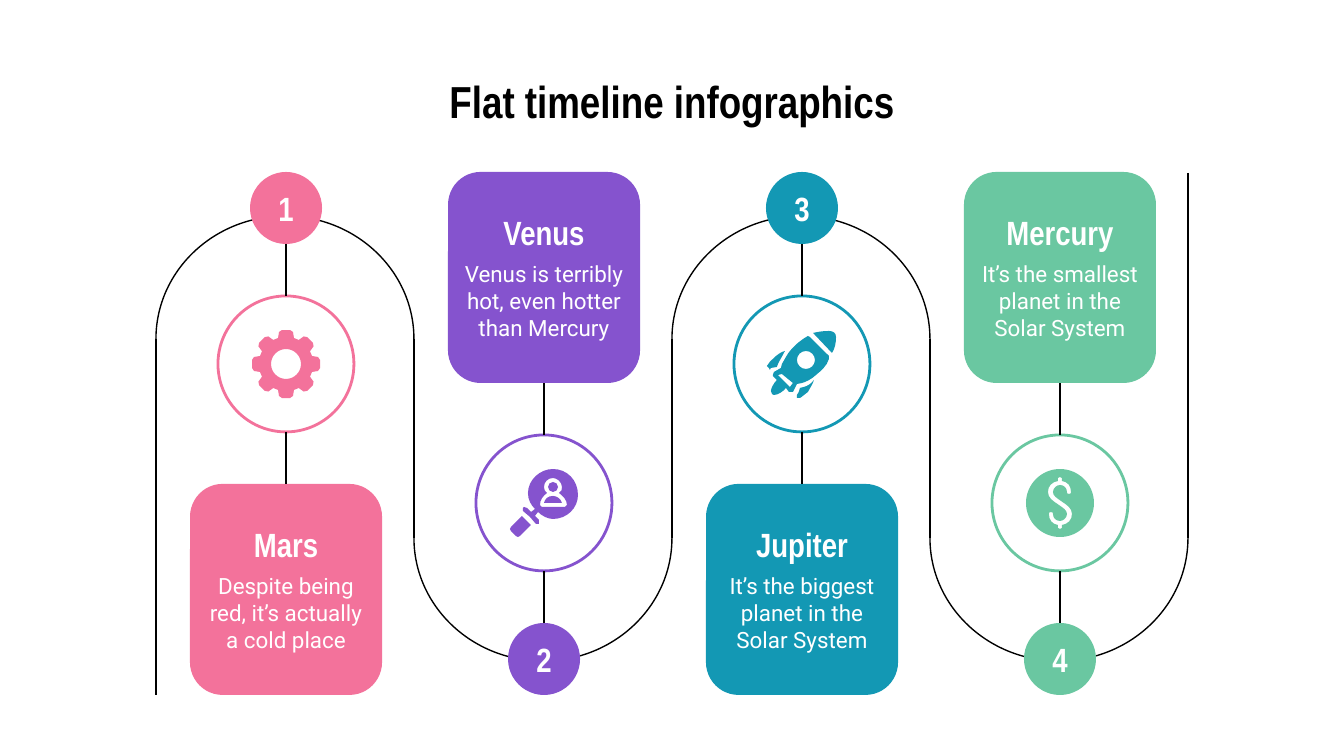
import math

from lxml import etree
from pptx import Presentation
from pptx.dml.color import RGBColor
from pptx.enum import shapes, text
from pptx.oxml.ns import qn
from pptx.util import Emu, Pt

PX = 914400 / 134.4
BLACK = RGBColor(0x00, 0x00, 0x00)
WHITE = RGBColor(0xFF, 0xFF, 0xFF)
PINK = RGBColor(0xF3, 0x72, 0x9B)
PURPLE = RGBColor(0x85, 0x53, 0xCE)
TEAL = RGBColor(0x13, 0x98, 0xB4)
GREEN = RGBColor(0x6A, 0xC7, 0xA1)
HEAD_FONT, BODY_FONT = "Arial Narrow", "Roboto"

TITLE = "Flat timeline infographics"
STEPS = [
    ("Mars", "Despite being red, it’s actually a cold place", PINK, "gear"),
    ("Venus", "Venus is terribly hot, even hotter than Mercury", PURPLE, "search"),
    ("Jupiter", "It’s the biggest planet in the Solar System", TEAL, "rocket"),
    ("Mercury", "It’s the smallest planet in the Solar System", GREEN, "dollar"),
]

# Layout, in px
W, H, STEP = 1344, 756, 258
FIRST_X, TOP, BOTTOM = 286, 172, 695
DOT, RING, GAP = 72, 136, 52
CARD_W, CARD_H = 192, 211
BEND_TOP, BEND_BOTTOM, BEND_H = 339, 538, 123


def circle(cx, cy, r):
    k = 0.55 * r
    return [(cx, cy - r),
            (cx + k, cy - r, cx + r, cy - k, cx + r, cy),
            (cx + r, cy + k, cx + k, cy + r, cx, cy + r),
            (cx - k, cy + r, cx - r, cy + k, cx - r, cy),
            (cx - r, cy - k, cx - k, cy - r, cx, cy - r)]


def gear():
    tooth = [(26, -8), (32, -7), (34, -4), (34, 4), (32, 7), (26, 8)]
    turns = [math.tau * i / 8 for i in range(8)]
    return [(a * math.cos(t) - b * math.sin(t), a * math.sin(t) + b * math.cos(t))
            for t in turns for a, b in tooth]


def opposite(parts):
    """Turn an outline half way round its centre."""
    return [tuple(-v for v in part) for part in parts]


# Outlines around the icon centre: a pair is a corner, six numbers are a cubic curve
HALF_S = [
    (0, -26), (2, -25), (2, -22), (8, -21, 11, -17, 11, -11), (11, -10, 11, -9, 9, -9),
    (7, -9, 7, -10, 7, -11), (7, -15, 4, -18, 0, -18), (-3, -18, -7, -15, -7, -11),
    (-7, -7, -3, -5, 1, -2), (7, 2, 12, 5, 12, 11), (12, 17, 8, 21, 2, 22), (2, 25), (0, 26),
]
LENS = [
    (9, -34), (-4, -34, -16, -23, -16, -10), (-16, -3, -13, 2, -9, 6), (-13, 9), (-17, 5),
    (-20, 4), (-21, 5), (-21, 8), (-14, 14), (-8, 21), (-5, 21), (-5, 17), (-9, 13), (-6, 9),
    (-2, 13, 4, 16, 9, 16), (23, 16, 34, 5, 34, -8), (34, -23, 23, -34, 9, -34),
]
PERSON = [
    (9, -25), (13, -25, 18, -21, 18, -16), (18, -14, 18, -11, 15, -10), (19, -7, 23, -3, 23, 2),
    (21, 4), (-2, 4), (-4, 2), (-4, -3, -1, -7, 3, -10), (1, -11, 0, -14, 0, -16),
    (0, -21, 4, -25, 9, -25),
]
SHOULDERS = [(9, -7), (4, -7, 1, -4, 0, 0), (18, 0), (17, -4, 13, -7, 9, -7)]
HANDLE = [(-22, 13), (-33, 24), (-34, 26), (-33, 28), (-28, 33), (-26, 34), (-24, 33), (-13, 22)]
HULL = [
    (6, -28), (-1, -24, -6, -20, -12, -13), (-14, -11, -17, -5, -20, 0), (-21, 4), (-28, 8),
    (-29, 11), (-29, 12), (-25, 16), (-28, 19, -31, 24, -31, 27), (-31, 30, -29, 31, -28, 31),
    (-24, 31, -18, 27, -16, 24), (-13, 28), (-12, 28), (-9, 28), (-5, 20), (0, 19),
    (4, 18, 10, 15, 14, 11), (19, 7, 25, 2, 27, -5), (27, -8), (8, -27),
]
SLOT = [(-20, 10), (-9, 19), (-12, 23), (-24, 11)]
NOSE = [(27, -33), (20, -33, 16, -32, 11, -31), (30, -11), (33, -16, 34, -21, 34, -27),
        (34, -31, 31, -33, 27, -33)]
LOW_FIN = [(12, 16), (10, 19, 6, 22, 2, 23), (-2, 24), (-2, 27, -4, 29, -5, 31), (-5, 34),
           (-2, 34), (0, 33, 3, 30, 6, 28), (8, 24, 11, 20, 12, 16)]
HIGH_FIN = [(-17, -13), (-21, -12, -25, -9, -28, -6), (-31, -4, -33, -1, -35, 2), (-33, 4),
            (-32, 6), (-31, 4), (-25, 3), (-24, -1, -21, -5, -17, -13)]
# Each icon is a list of shapes, each shape a list of contours (inner ones are holes)
ICONS = {
    "gear": [[gear(), circle(0, 0, 15)]],
    "search": [[LENS, PERSON], [circle(9, -16, 5)], [SHOULDERS], [HANDLE]],
    "rocket": [[HULL, circle(4, -4, 9), SLOT], [NOSE], [LOW_FIN], [HIGH_FIN]],
    "dollar": [[circle(0, 0, 34), HALF_S + opposite(HALF_S)[1:]]],
}
BEND = [(-129, 0), (-129, -68, -71, -BEND_H, 0, -BEND_H), (71, -BEND_H, 129, -68, 129, 0)]


def px(*values):
    return [Emu(round(v * PX)) for v in values]


def paint(sp, fill=None, line=None, width=0.75):
    sp.shadow.inherit = False
    if fill is None:
        sp.fill.background()
    else:
        sp.fill.solid()
        sp.fill.fore_color.rgb = fill
    if line is None:
        sp.line.fill.background()
    else:
        sp.line.color.rgb = line
        sp.line.width = Pt(width)
    return sp


def add_outline(slide, cx, cy, contours, close=True):
    """Draw straight sides through all end points, then bend the curved ones."""
    builder = None
    for contour in contours:
        points = [px(cx + part[-2], cy + part[-1]) for part in contour]
        if builder is None:
            builder = slide.shapes.build_freeform(*points[0], scale=1.0)
        else:
            builder.move_to(*points[0])
        builder.add_line_segments(points[1:], close=close)
    sp = builder.convert_to_shape()
    sides = list(sp._element.iter(qn("a:lnTo")))
    parts = [part for contour in contours for part in contour[1:]]
    for side, part in zip(sides, parts):
        if len(part) == 6:
            side.tag = qn("a:cubicBezTo")
            for n, (x, y) in enumerate((part[:2], part[2:4])):
                x, y = px(cx + x, cy + y)
                pt = etree.Element(qn("a:pt"), x=str(x - sp.left), y=str(y - sp.top))
                side.insert(n, pt)
    return sp


def add_line(slide, x, y1, y2):
    line = slide.shapes.add_connector(shapes.MSO_CONNECTOR.STRAIGHT, *px(x, y1, x, y2))
    line.line.color.rgb = BLACK
    line.line.width = Pt(0.75)
    etree.SubElement(line._element.spPr, qn("a:effectLst"))
    return line


def write(sp, content, size, color=WHITE, name=HEAD_FONT, bold=True,
          anchor=text.MSO_ANCHOR.MIDDLE):
    tf = sp.text_frame
    tf.word_wrap = True
    tf.auto_size = text.MSO_AUTO_SIZE.NONE
    tf.vertical_anchor = anchor
    tf.margin_left = tf.margin_right = tf.margin_top = tf.margin_bottom = Pt(7.2)
    p = tf.paragraphs[0]
    p.text = content
    p.alignment = text.PP_ALIGN.CENTER
    p.font.size, p.font.name, p.font.bold = Pt(size), name, bold
    p.font.color.rgb = color


def add_wave(slide):
    edges = [W // 2 + STEP * (i - 2) for i in range(5)]
    for i, x in enumerate(edges):
        add_line(slide, x, TOP + 1 if i == 4 else BEND_TOP, BOTTOM if i == 0 else BEND_BOTTOM)
    for i, x in enumerate(edges[:-1]):
        bend, y = (opposite(BEND), BEND_BOTTOM) if i % 2 else (BEND, BEND_TOP)
        paint(add_outline(slide, x + STEP // 2, y, [bend], close=False), line=BLACK)


def add_step(slide, i, name, detail, color, icon):
    cx, up = FIRST_X + STEP * i, i % 2 == 0
    oval = shapes.MSO_SHAPE.OVAL
    dot_y = TOP if up else BOTTOM - DOT
    ring_y = dot_y + DOT + GAP if up else dot_y - GAP - RING
    card_y = BOTTOM - CARD_H if up else TOP
    left = cx - CARD_W // 2

    ring = slide.shapes.add_shape(oval, *px(cx - RING / 2, ring_y, RING, RING))
    paint(ring, WHITE, color, 1.5)
    dot = slide.shapes.add_shape(oval, *px(cx - DOT / 2, dot_y, DOT, DOT))
    write(paint(dot, color), str(i + 1), 18)
    card = slide.shapes.add_shape(shapes.MSO_SHAPE.ROUNDED_RECTANGLE,
                                  *px(left, card_y, CARD_W, CARD_H))
    card.adjustments[0] = 0.17
    paint(card, color)
    heading = slide.shapes.add_textbox(*px(left, card_y + 35, CARD_W, 51))
    write(heading, name, 18)
    body = slide.shapes.add_textbox(*px(left, card_y + 75, CARD_W, 106))
    write(body, detail, 12, name=BODY_FONT, bold=False, anchor=text.MSO_ANCHOR.TOP)

    if up:
        add_line(slide, cx, dot_y + DOT, ring_y)
        add_line(slide, cx, ring_y + RING, card_y).end_connect(card, 0)
    else:
        add_line(slide, cx, dot_y, ring_y + RING)
        add_line(slide, cx, ring_y, card_y + CARD_H).end_connect(card, 2)
    for contours in ICONS[icon]:
        paint(add_outline(slide, cx, ring_y + RING / 2, contours), color)


def main():
    prs = Presentation()
    prs.slide_width, prs.slide_height = px(W, H)
    slide = prs.slides.add_slide(prs.slide_layouts[5])
    add_wave(slide)
    title = slide.shapes.title
    title.left, title.top, title.width, title.height = px(67, 60, 1210, 85)
    write(title, TITLE, 24, BLACK, anchor=text.MSO_ANCHOR.TOP)
    for i, step in enumerate(STEPS):
        add_step(slide, i, *step)
    prs.save("out.pptx")


if __name__ == "__main__":
    main()
